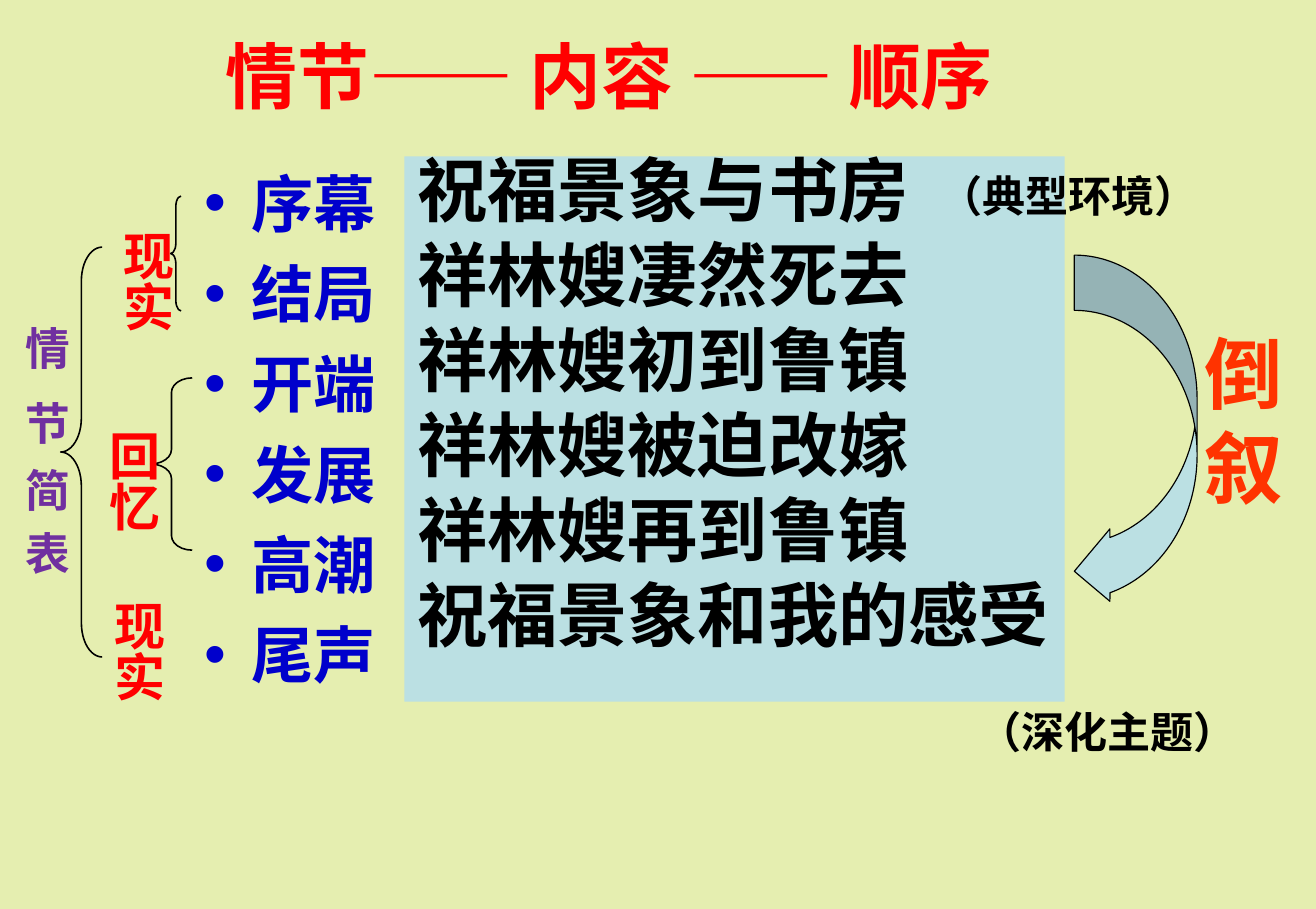
from pptx import Presentation
from pptx.dml.color import RGBColor
from pptx.enum.shapes import MSO_SHAPE as Preset
from pptx.enum.text import MSO_ANCHOR as Anchor, MSO_AUTO_SIZE as AutoSize, PP_ALIGN as Align
from pptx.oxml.ns import qn
from pptx.util import Pt
from lxml.etree import SubElement

CJK = "Noto Sans CJK SC"
SERIF = "Times New Roman"
BLACK, RED, BLUE, PALE = "000000", "FF0000", "0000CC", "BBE0E3"

STAGES = ["序幕", "结局", "开端", "发展", "高潮", "尾声"]
EVENTS = ["祝福景象与书房", "祥林嫂凄然死去", "祥林嫂初到鲁镇",
          "祥林嫂被迫改嫁", "祥林嫂再到鲁镇", "祝福景象和我的感受"]
PERIODS = [("现实", 61, 144.5), ("回忆", 52, 270), ("现实", 55.5, 376.5)]
BRACES = [(107, 123, 6.5, 72, 1), (94.5, 237, 26, 108, 0.35), (38, 155, 26, 257, 0.82)]
CHART_NAME = [("情", 19), ("节", 14), ("简", 12), ("表", 0)]


def color(value):
    return RGBColor.from_string(value)


def place(shape, left, top, width, height):
    shape.left, shape.top = Pt(left), Pt(top)
    shape.width, shape.height = Pt(width), Pt(height)


def set_frame(shape, side=8, edge=4, anchor=Anchor.TOP):
    frame = shape.text_frame
    frame.word_wrap = True
    frame.auto_size = AutoSize.NONE
    frame.vertical_anchor = anchor
    frame.margin_left = frame.margin_right = Pt(side)
    frame.margin_top = frame.margin_bottom = Pt(edge)
    return frame


def add_span(para, text, size, ink, font="Arial", tracking=0):
    """Add one bold run; tracking is the extra space after each letter."""
    span = para.add_run()
    span.text = text
    span.font.size, span.font.bold = Pt(size), True
    span.font.color.rgb = color(ink)
    span.font.name = font
    props = span.font._element
    SubElement(props, qn("a:ea")).set("typeface", CJK)
    if tracking:
        props.set("spc", str(tracking * 100))


def add_lines(frame, lines, size, ink, font="Arial", spacing=1.0, gap=0, bullet=False):
    for index, line in enumerate(lines):
        para = frame.paragraphs[0] if index == 0 else frame.add_paragraph()
        para.alignment = Align.LEFT
        para.line_spacing = spacing
        para.space_before = Pt(gap if index else 0)
        if bullet:
            add_bullet(para, ink)
        add_span(para, line, size, ink, font)


def add_bullet(para, ink):
    props = para._p.get_or_add_pPr()
    props.set("marL", str(Pt(29.5)))
    props.set("indent", str(Pt(-29.5)))
    SubElement(SubElement(props, qn("a:buClr")), qn("a:srgbClr")).set("val", ink)
    SubElement(props, qn("a:buFont")).set("typeface", "Arial")
    SubElement(props, qn("a:buChar")).set("char", "•")


def add_text(page, bounds, lines, size, ink, **style):
    box = page.shapes.add_textbox(*map(Pt, bounds))
    add_lines(set_frame(box), lines, size, ink, **style)


def add_vertical(page, bounds, spans, size, ink, font="Arial"):
    """Add a column of upright characters from (text, tracking) pairs."""
    box = page.shapes.add_textbox(*map(Pt, bounds))
    frame = set_frame(box, side=4.5, edge=0)
    frame._txBody.bodyPr.set("vert", "eaVert")
    para = frame.paragraphs[0]
    para.alignment = Align.LEFT
    for text, tracking in spans:
        add_span(para, text, size, ink, font, tracking)


def add_preset(page, preset, bounds, fill=None, line=None, adjust=()):
    shape = page.shapes.add_shape(preset, *map(Pt, bounds))
    shape.shadow.inherit = False
    if fill:
        shape.fill.solid()
        shape.fill.fore_color.rgb = color(fill)
    else:
        shape.fill.background()
    if line:
        shape.line.color.rgb = color(BLACK)
        shape.line.width = Pt(line)
    else:
        shape.line.fill.background()
    for index, value in enumerate(adjust):
        shape.adjustments[index] = value
    return shape


def set_title(page):
    title = page.shapes.title
    place(title, 61.5, 14, 763, 66)
    para = set_frame(title, anchor=Anchor.MIDDLE).paragraphs[0]
    para.alignment = Align.LEFT
    para._p.get_or_add_pPr().set("marL", str(Pt(72)))
    add_span(para, "情节—— 内容 —— 顺序", 45, RED, CJK)


def main():
    deck = Presentation()
    deck.slide_width, deck.slide_height = Pt(825), Pt(570)
    page = deck.slides.add_slide(deck.slide_layouts[5])
    page.background.fill.solid()
    page.background.fill.fore_color.rgb = color("E5EEB0")

    set_title(page)
    add_text(page, (120, 99.5, 136, 354), STAGES, 39, BLUE, gap=9.8, bullet=True)
    panel = add_preset(page, Preset.RECTANGLE, (253.5, 98, 414, 342), fill=PALE)
    add_lines(set_frame(panel), EVENTS, 44, BLACK, font=SERIF, spacing=0.8, gap=11)

    add_preset(page, Preset.CURVED_LEFT_ARROW, (673.5, 160, 77, 221), PALE, 0.75,
               (0.45, 0.59, 0.29))
    add_text(page, (747, 200, 62, 126), ["倒叙"], 49, "FF3300", font=SERIF)
    add_text(page, (581, 102, 181, 43), ["（典型环境）"], 27, BLACK)
    add_text(page, (605.5, 438.5, 190, 43), ["（深化主题）"], 27, BLACK)

    for left, top, width, height, curve in BRACES:
        add_preset(page, Preset.LEFT_BRACE, (left, top, width, height), line=1,
                   adjust=(curve, 0.5))
    for name, left, top in PERIODS:
        add_vertical(page, (left, top, 55, 70), [(name, 0)], 32, RED)
    add_vertical(page, (0, 204.5, 50, 180), CHART_NAME, 28, "7030A0", CJK)

    deck.save("out.pptx")


if __name__ == "__main__":
    main()
